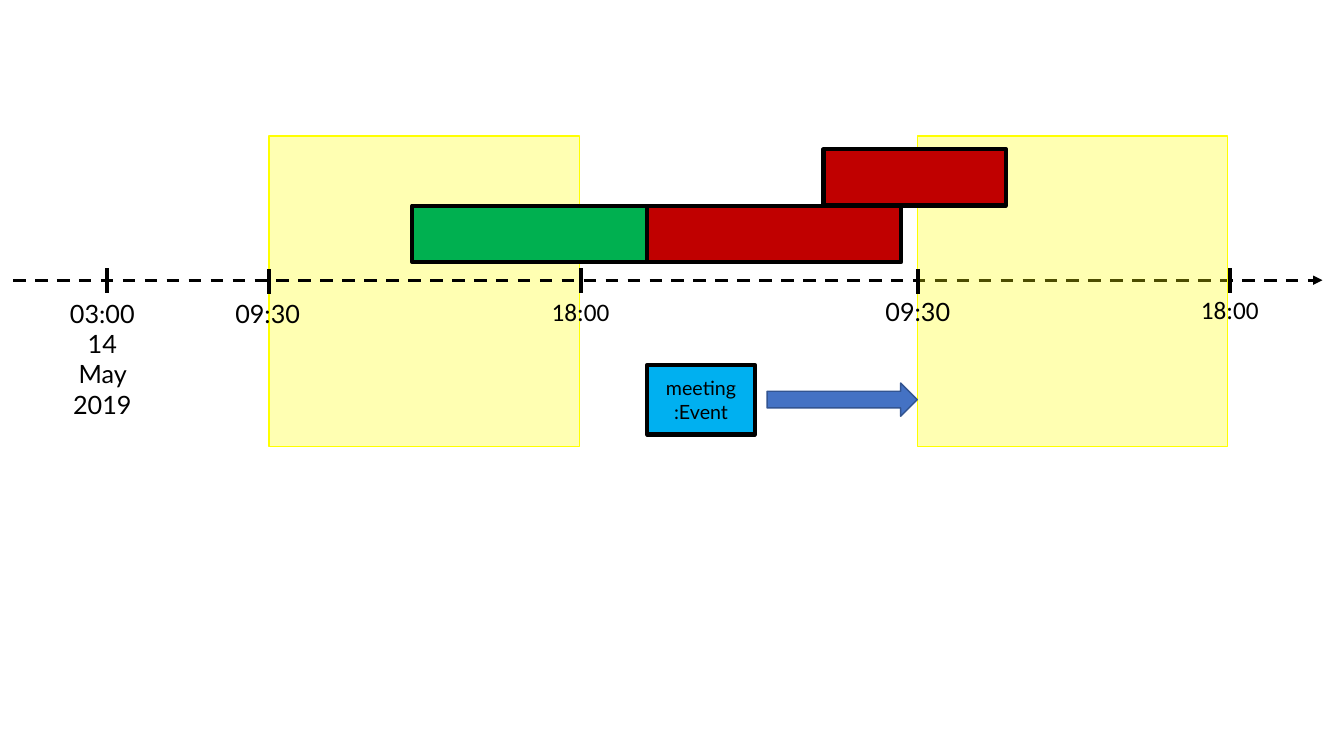
"""Build a timeline slide of working hours, busy periods and a meeting that moves."""
import dataclasses

import pptx
import pptx.dml.color
import pptx.enum.dml
import pptx.enum.shapes
import pptx.enum.text
import pptx.oxml
import pptx.oxml.ns
import pptx.util

CELL = pptx.util.Inches(0.1)
COLUMNS, ROWS = 133.33, 75
SHAPES = pptx.enum.shapes.MSO_SHAPE


@dataclasses.dataclass(frozen=True)
class Theme:
    """Hold the colours, fonts, type sizes and line widths of the slide."""
    ink: str = "000000"
    working_hours: str = "FFFF00"
    free: str = "00B050"
    busy: str = "C00000"
    meeting: str = "00B0F0"
    shift: str = "4472C4"
    shift_edge: str = "325491"
    main_font: str = "Lato"
    closing_font: str = "Calibri"
    label_size: float = 18
    meeting_size: float = 14
    thin: float = 1
    axis: float = 2.25
    thick: float = 3


THEME = Theme()


def cells(*counts):
    """Convert grid cells to lengths."""
    return [round(CELL * count) for count in counts]


def colour(code):
    """Convert a hexadecimal code to a colour."""
    return pptx.dml.color.RGBColor.from_string(code)


def add_child(parent, tag, **attributes):
    """Append a drawing element with the given attributes."""
    child = pptx.oxml.parse_xml(f"<a:{tag} {pptx.oxml.ns.nsdecls('a')}/>")
    for name, value in attributes.items():
        child.set(name, value)
    parent.append(child)


def write(frame, text, *, size, font=THEME.main_font, ink=THEME.ink, wrap=True):
    """Write centred lines of text into a frame."""
    frame.word_wrap = wrap
    frame.text = text
    for paragraph in frame.paragraphs:
        paragraph.alignment = pptx.enum.text.PP_ALIGN.CENTER
        paragraph.font.size = pptx.util.Pt(size)
        paragraph.font.name = font
        paragraph.font.color.rgb = colour(ink)


def add_block(slide, place, fill, *, edge=THEME.ink, width=THEME.thick,
              outline=SHAPES.RECTANGLE, opacity=None):
    """Add a filled and outlined shape at left, top, width, height."""
    block = slide.shapes.add_shape(outline, *cells(*place))
    block.shadow.inherit = False
    block.fill.solid()
    block.fill.fore_color.rgb = colour(fill)
    block.line.color.rgb = colour(edge)
    block.line.width = pptx.util.Pt(width)
    if opacity is not None:
        shade = block.fill._xPr.find(".//" + pptx.oxml.ns.qn("a:srgbClr"))
        add_child(shade, "alpha", val=str(opacity * 1000))
    return block


def add_line(slide, ends, width):
    """Add a straight line between two points."""
    line = slide.shapes.add_connector(
        pptx.enum.shapes.MSO_CONNECTOR.STRAIGHT, *cells(*ends))
    line.line.color.rgb = colour(THEME.ink)
    line.line.width = pptx.util.Pt(width)
    add_child(line._element.spPr, "effectLst")
    return line


def add_axis(slide, left, right, row):
    """Add the dashed time axis with its arrowhead."""
    axis = add_line(slide, (left, row, right, row), THEME.axis)
    axis.line.dash_style = pptx.enum.dml.MSO_LINE.DASH
    add_child(axis.line._ln, "tailEnd", type="triangle")


def add_label(slide, text, centre, top, font):
    """Add a time label centred on a column."""
    width, height = 8.5, 4
    label = slide.shapes.add_textbox(*cells(centre - width / 2, top, width, height))
    write(label.text_frame, text, size=THEME.label_size, font=font, wrap=False)


def main():
    """Build and save the slide."""
    deck = pptx.Presentation()
    deck.slide_width, deck.slide_height = cells(COLUMNS, ROWS)
    slide = deck.slides.add_slide(deck.slide_layouts[6])

    day_side, day_top, bar_height, bar_row = 30.8, 13.5, 5.6, 20.4
    first_day, second_day = 26.7, 91
    for day_start in (first_day, second_day):
        add_block(slide, (day_start, day_top, day_side, day_side),
                  THEME.working_hours, edge=THEME.working_hours,
                  width=THEME.thin, opacity=30)
        if day_start == first_day:
            add_axis(slide, 1.3, 131.2, 27.8)

    for start, row, length, status in (
            (40.9, bar_row, 23.5, THEME.free),
            (81.7, bar_row - bar_height, 18.1, THEME.busy),
            (64.2, bar_row, 25.2, THEME.busy)):
        add_block(slide, (start, row, length, bar_height), status)

    for moment, tick_top, text, centre, label_top, font in (
            (10.6, 26.6, "03:00\n14 May 2019", 10.15, 29.1, THEME.main_font),
            (26.7, 26.7, "09:30", 26.55, 29.1, THEME.main_font),
            (57.6, 26.6, "18:00", 57.6, 28.9, THEME.closing_font),
            (91.1, 26.7, "09:30", 91.05, 28.9, THEME.main_font),
            (122, 26.6, "18:00", 122, 28.7, THEME.closing_font)):
        add_line(slide, (moment, tick_top, moment, tick_top + 2.5), THEME.thick)
        add_label(slide, text, centre, label_top, font)

    meeting = add_block(slide, (64.2, 36.2, 10.7, 6.9), THEME.meeting)
    meeting.text_frame.vertical_anchor = pptx.enum.text.MSO_ANCHOR.MIDDLE
    write(meeting.text_frame, "meeting\n:Event", size=THEME.meeting_size)
    add_block(slide, (76.1, 38, 14.9, 3.3), THEME.shift, edge=THEME.shift_edge,
              width=THEME.thin, outline=SHAPES.RIGHT_ARROW)

    deck.save("out.pptx")


if __name__ == "__main__":
    main()
